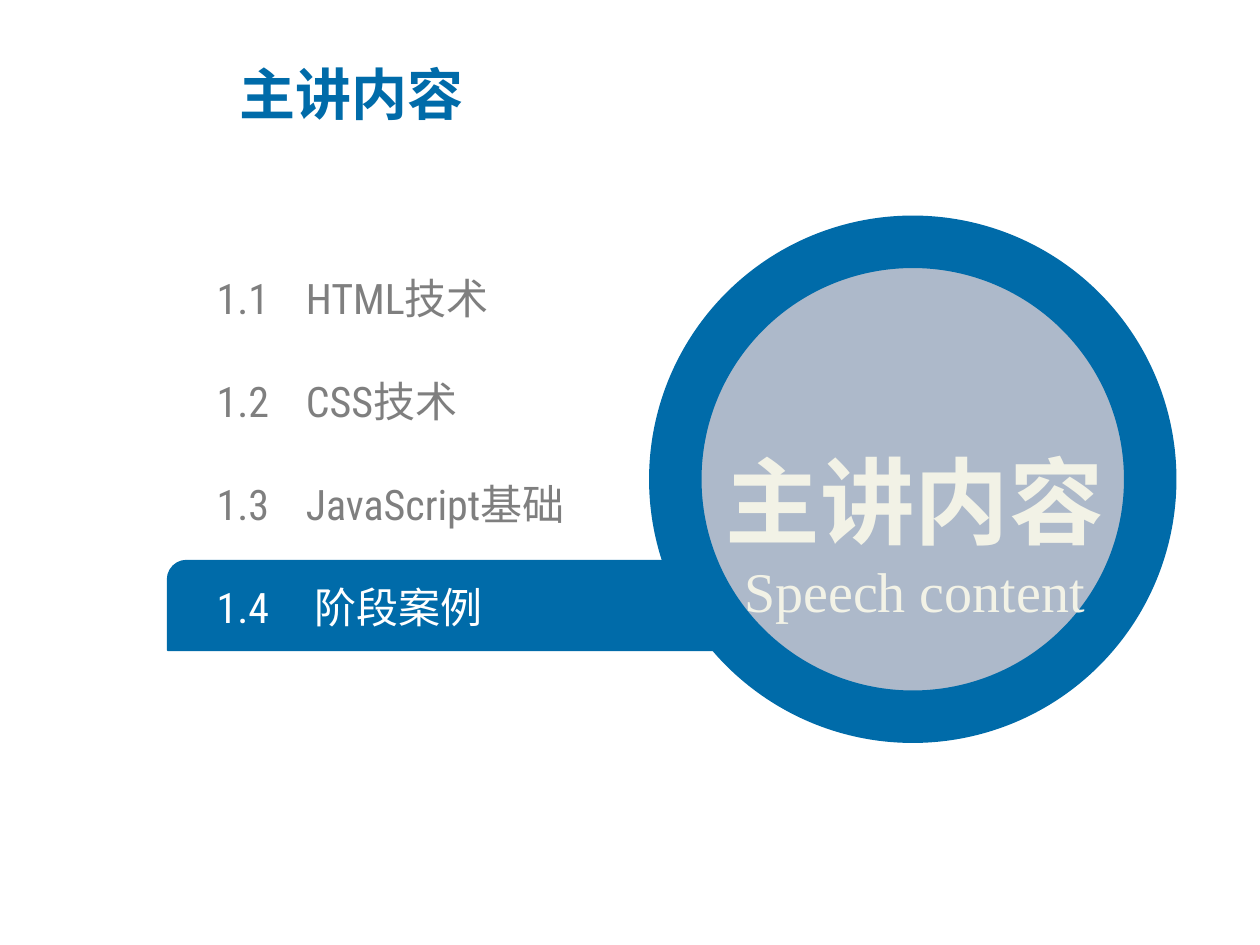
from lxml import etree
from pptx import Presentation
from pptx import util as u
from pptx.dml.color import RGBColor
from pptx.enum import shapes, text
from pptx.oxml.ns import qn

BLUE, GREY, CREAM, WHITE = "006BA9", "7F7F7F", "F2F2E6", "FFFFFF"
CJK = "Noto Sans CJK SC"


def color(hex_string):
    return RGBColor.from_string(hex_string)


def add_run(paragraph, wording, size, font, hex_string, bold=False):
    run = paragraph.add_run()
    run.text = wording
    run.font.size = u.Pt(size)
    run.font.bold = bold
    run.font.color.rgb = color(hex_string)
    run.font.name = font
    east_asian = etree.SubElement(run._r.get_or_add_rPr(), qn("a:ea"))
    east_asian.set("typeface", CJK)


presentation = Presentation()
presentation.slide_width, presentation.slide_height = u.Pt(720), u.Pt(540)
slide = presentation.slides.add_slide(presentation.slide_layouts[6])

# Highlight bar, then the ring that overlaps its right end
bar = slide.shapes.add_shape(shapes.MSO_SHAPE.ROUND_2_DIAG_RECTANGLE,
                             u.Pt(95.8), u.Pt(320.4), u.Pt(354.2), u.Pt(51.1))
bar.adjustments[0], bar.adjustments[1] = 0.21, 0
ring = slide.shapes.add_shape(shapes.MSO_SHAPE.OVAL,
                              u.Pt(385.9), u.Pt(138.2), u.Pt(271.4), u.Pt(271.4))
for shape, fill, line_width in [(bar, BLUE, 1), (ring, "ADB9CA", 30)]:
    shape.shadow.inherit = False
    shape.fill.solid()
    shape.fill.fore_color.rgb = color(fill)
    shape.line.color.rgb = color(BLUE)
    shape.line.width = u.Pt(line_width)

# Topic list: number, tab stop, topic
topics = [
    ("1.1", "HTML技术", GREY, 51),
    ("1.2", "CSS技术", GREY, 51),
    ("1.3", "JavaScript基础", GREY, 51),
    ("1.4", "阶段案例", WHITE, 56),
]
for index, (number, topic, hex_string, tab_position) in enumerate(topics):
    box = slide.shapes.add_textbox(u.Pt(123.8), u.Pt(155.5 + 58.8 * index),
                                   u.Pt(264.2), u.Pt(29))
    frame = box.text_frame
    frame.word_wrap = True
    frame.vertical_anchor = text.MSO_ANCHOR.MIDDLE
    frame.margin_left = frame.margin_right = frame.margin_top = frame.margin_bottom = 0
    paragraph = frame.paragraphs[0]
    tabs = etree.SubElement(paragraph._p.get_or_add_pPr(), qn("a:tabLst"))
    etree.SubElement(tabs, qn("a:tab"), pos=str(u.Pt(tab_position)), algn="l")
    add_run(paragraph, f"{number}\t{topic}", 24, "Roboto Condensed", hex_string)

# Caption inside the ring
caption = slide.shapes.add_textbox(u.Pt(382.3), u.Pt(216.7), u.Pt(280.8), u.Pt(144)).text_frame
caption.word_wrap = True
caption.vertical_anchor = text.MSO_ANCHOR.MIDDLE
heading, subheading = caption.paragraphs[0], caption.add_paragraph()
heading.alignment = subheading.alignment = text.PP_ALIGN.CENTER
heading.line_spacing = 1.5
add_run(heading, "主讲内容", 54, CJK, CREAM, True)
add_run(subheading, "Speech content", 32, "Times New Roman", CREAM)

# Slide title
title = slide.shapes.add_textbox(u.Pt(129.6), u.Pt(31), u.Pt(389.5), u.Pt(44)).text_frame
title.word_wrap = True
title.vertical_anchor = text.MSO_ANCHOR.MIDDLE
add_run(title.paragraphs[0], "主讲内容", 32, CJK, BLUE, True)

presentation.save("out.pptx")
